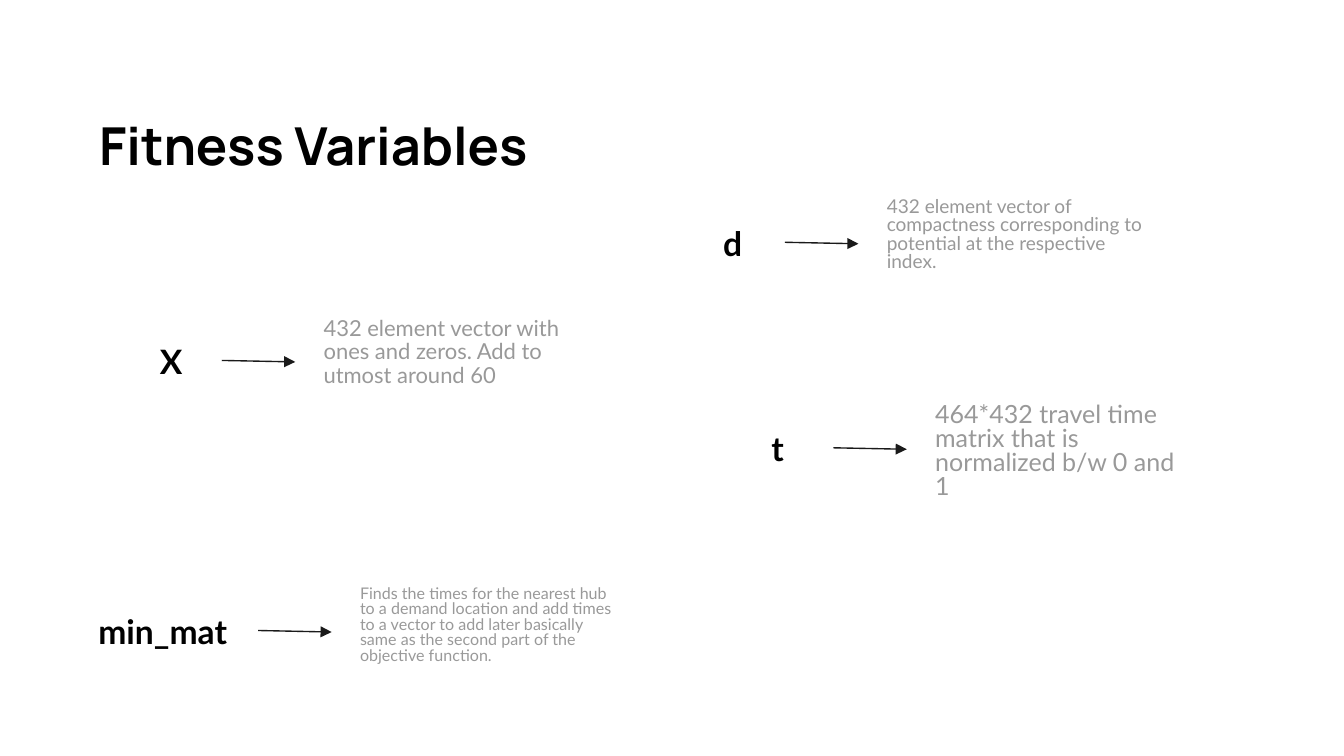
from lxml import etree
from pptx import Presentation
from pptx.dml.color import RGBColor
from pptx.enum.shapes import MSO_CONNECTOR
from pptx.oxml.ns import qn
from pptx.util import Pt

STRAIGHT = MSO_CONNECTOR.STRAIGHT
COLORS = {"ink": "000000", "arrow": "1A1A1A", "description": "999999"}
INSET = 7.2
LABEL_WIDTH = 31.7

# name, label width, description, left, top, text size, line spacing
VARIABLES = [
    ("X", LABEL_WIDTH,
     "432 element vector with ones and zeros. Add to utmost around 60",
     166.3, 162.7, 11.8, 0.9),
    ("d", LABEL_WIDTH,
     "432 element vector of compactness corresponding to potential at the "
     "respective index.",
     468, 99.4, 10.2, 0.8),
    ("t", LABEL_WIDTH,
     "464*432 travel time matrix that is normalized b/w 0 and 1",
     493.9, 209.5, 13.4, 0.8),
    ("min_mat", 84.2,
     "Finds the times for the nearest hub to a demand location and add times "
     "to a vector to add later basically same as the second part of the "
     "objective function.",
     185.8, 307.4, 8.6, 0.8),
]


def add_text(slide, text, left, top, width, height, size, font, color, bold=False):
    box = slide.shapes.add_textbox(Pt(left), Pt(top), Pt(width), Pt(height))
    frame = box.text_frame
    frame.word_wrap = True
    frame.margin_left = frame.margin_right = Pt(INSET)
    frame.margin_top = frame.margin_bottom = Pt(INSET)
    frame.text = text
    paragraph = frame.paragraphs[0]
    style = paragraph.runs[0].font
    style.name, style.size, style.bold = font, Pt(size), bold
    style.color.rgb = RGBColor.from_string(COLORS[color])
    return paragraph


def add_arrow(slide, x1, y1, x2, y2):
    arrow = slide.shapes.add_connector(STRAIGHT, Pt(x1), Pt(y1), Pt(x2), Pt(y2))
    arrow.line.color.rgb = RGBColor.from_string(COLORS["arrow"])
    arrow.line.width = Pt(0.75)
    etree.SubElement(arrow.line._get_or_add_ln(), qn("a:tailEnd"), type="triangle")
    etree.SubElement(arrow._element.spPr, qn("a:effectLst"))


def add_variable(slide, name, label_width, description, left, top, size, spacing):
    # Label and arrow are placed relative to the description
    add_text(slide, name, left - 56 - label_width, top + 12.8, label_width, 36,
             18, "Lato", "ink", bold=True)
    add_arrow(slide, left - 47.5, top + 30.4, left - 8.1, top + 31.2)
    paragraph = add_text(slide, description, left, top, 153.4, 55.4,
                         size, "Lato", "description")
    paragraph.line_spacing = spacing
    paragraph.space_after = Pt(0.5)


def main():
    prs = Presentation()
    prs.slide_width, prs.slide_height = Pt(720), Pt(405)
    slide = prs.slides.add_slide(prs.slide_layouts[6])

    # Title
    add_text(slide, "Fitness Variables", 46, 53.3, 605.5, 46.8,
             28, "Manrope", "ink", bold=True)

    # Variables with their explanations
    for variable in VARIABLES:
        add_variable(slide, *variable)

    prs.save("out.pptx")


if __name__ == "__main__":
    main()
